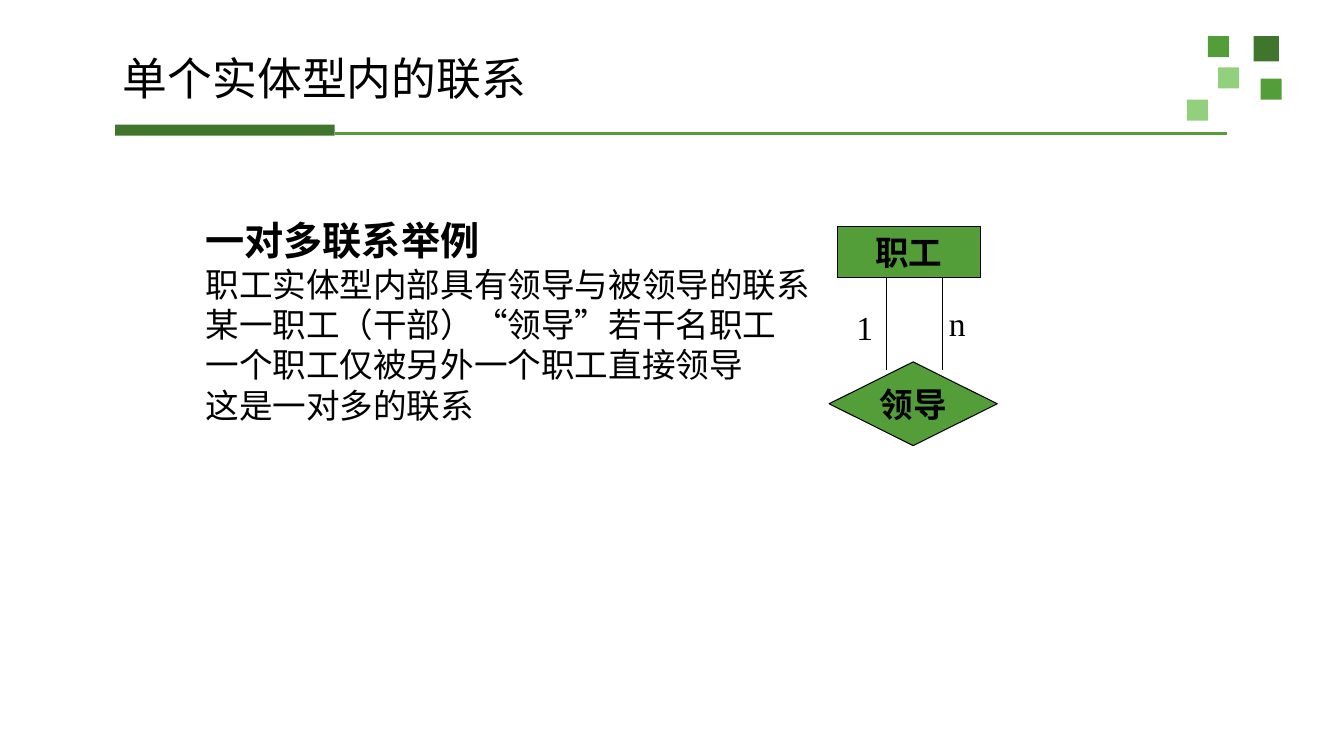
from lxml.etree import SubElement
from pptx import Presentation
from pptx.dml.color import RGBColor
from pptx.enum.shapes import MSO_CONNECTOR, MSO_SHAPE
from pptx.enum.text import MSO_ANCHOR, PP_ALIGN
from pptx.oxml.ns import qn
from pptx.util import Cm, Pt

BLACK = RGBColor(0x00, 0x00, 0x00)
DARK_GREEN = RGBColor(0x3F, 0x76, 0x2B)
GREEN = RGBColor(0x54, 0x9E, 0x39)
LIGHT_GREEN = RGBColor(0x93, 0xD0, 0x7D)
CJK_FONT = "Noto Sans CJK SC"
SERIF = "Times New Roman"


def style_text(para, text, size, name, bold=False):
    """Fill a paragraph and set its Latin and East Asian fonts."""
    para.text = text
    font = para.font
    font.size, font.name, font.bold = Pt(size), name, bold
    font.color.rgb = BLACK
    SubElement(font._element, qn("a:ea"), typeface=CJK_FONT)


def add_block(page, kind, left, top, width, height, color, outlined=False):
    """Add a flat filled shape, with a thin black outline if asked."""
    block = page.shapes.add_shape(kind, Cm(left), Cm(top), Cm(width), Cm(height))
    block.shadow.inherit = False
    block.fill.solid()
    block.fill.fore_color.rgb = color
    if outlined:
        block.line.color.rgb = BLACK
        block.line.width = Pt(0.75)
    else:
        block.line.fill.background()
    return block


def add_rule(page, start, end, color, width):
    """Draw a straight line without a shadow."""
    rule = page.shapes.add_connector(
        MSO_CONNECTOR.STRAIGHT, *(Cm(value) for value in start + end))
    rule.line.color.rgb = color
    rule.line.width = Pt(width)
    SubElement(rule._element.spPr, qn("a:effectLst"))


def add_text(page, left, top, width, height):
    """Add a wrapping text box and return its text frame."""
    box = page.shapes.add_textbox(Cm(left), Cm(top), Cm(width), Cm(height))
    box.text_frame.word_wrap = True
    return box.text_frame


def add_tiles(page, left, top):
    """Scatter the decorative squares in the corner."""
    for across, down, side, color in [
        (1.68, 0, 0.64, DARK_GREEN),
        (0.53, 0, 0.53, GREEN),
        (1.86, 1.07, 0.53, GREEN),
        (0.79, 0.79, 0.53, LIGHT_GREEN),
        (0, 1.6, 0.53, LIGHT_GREEN),
    ]:
        add_block(page, MSO_SHAPE.RECTANGLE, left + across, top + down, side, side, color)


def add_header(page, left, top, width, height):
    """Place the title with its bar and rule below."""
    bar_width, bar_height = 5.54, 0.28
    bar_top = top + height - bar_height
    rule_y = bar_top + 0.22
    add_block(page, MSO_SHAPE.RECTANGLE, left, bar_top, bar_width, bar_height, DARK_GREEN)
    add_rule(page, (left + bar_width, rule_y), (left + width, rule_y), GREEN, 2)
    frame = add_text(page, left, top, width, 2.31)
    frame.vertical_anchor = MSO_ANCHOR.MIDDLE
    frame.margin_left = frame.margin_right = Cm(0.2)
    frame.margin_top = frame.margin_bottom = Cm(0.1)
    para = frame.paragraphs[0]
    para.line_spacing = 0.9
    style_text(para, "单个实体型内的联系", 32, CJK_FONT)


def add_example(page, left, top, width, height):
    """Write the heading and the lines of the example."""
    frame = add_text(page, left, top, width, height)
    style_text(frame.paragraphs[0], "一对多联系举例", 28, "Arial", True)
    for text in [
        "职工实体型内部具有领导与被领导的联系",
        "某一职工（干部）“领导”若干名职工",
        "一个职工仅被另外一个职工直接领导",
        "这是一对多的联系",
    ]:
        style_text(frame.add_paragraph(), text, 24, "Arial")


def add_diagram(page, left, top, width, height):
    """Draw the entity, its relationship and the two links."""
    entity_height, diamond_height = 1.27, 2.11
    entity = add_block(page, MSO_SHAPE.RECTANGLE, left + 0.21, top, 3.61,
                       entity_height, GREEN, True)
    diamond = add_block(page, MSO_SHAPE.DIAMOND, left, top + height - diamond_height,
                        width, diamond_height, GREEN, True)
    diamond.text_frame.word_wrap = False
    for block, text in [(entity, "职工"), (diamond, "领导")]:
        frame = block.text_frame
        frame.vertical_anchor = MSO_ANCHOR.MIDDLE
        para = frame.paragraphs[0]
        para.alignment = PP_ALIGN.CENTER
        style_text(para, text, 24, SERIF, True)
    for link, label_left, label_top, text in [
        (1.45, 0.44, 1.9, "1"),
        (2.85, 2.77, 1.8, "n"),
    ]:
        add_rule(page, (left + link, top + 3.6), (left + link, top + entity_height),
                 BLACK, 0.75)
        frame = add_text(page, left + label_left, top + label_top, 1.07, 1.27)
        style_text(frame.paragraphs[0], text, 24, SERIF)


def main():
    """Build and save the slide."""
    deck = Presentation()
    deck.slide_width, deck.slide_height = Cm(33.88), Cm(19.05)
    page = deck.slides.add_slide(deck.slide_layouts[6])
    add_tiles(page, 29.92, 0.91)
    add_header(page, 2.9, 0.89, 28.04, 2.53)
    add_example(page, 4.93, 5.33, 16.21, 5.51)
    add_diagram(page, 20.9, 5.72, 4.24, 5.51)
    deck.save("out.pptx")


if __name__ == "__main__":
    main()
